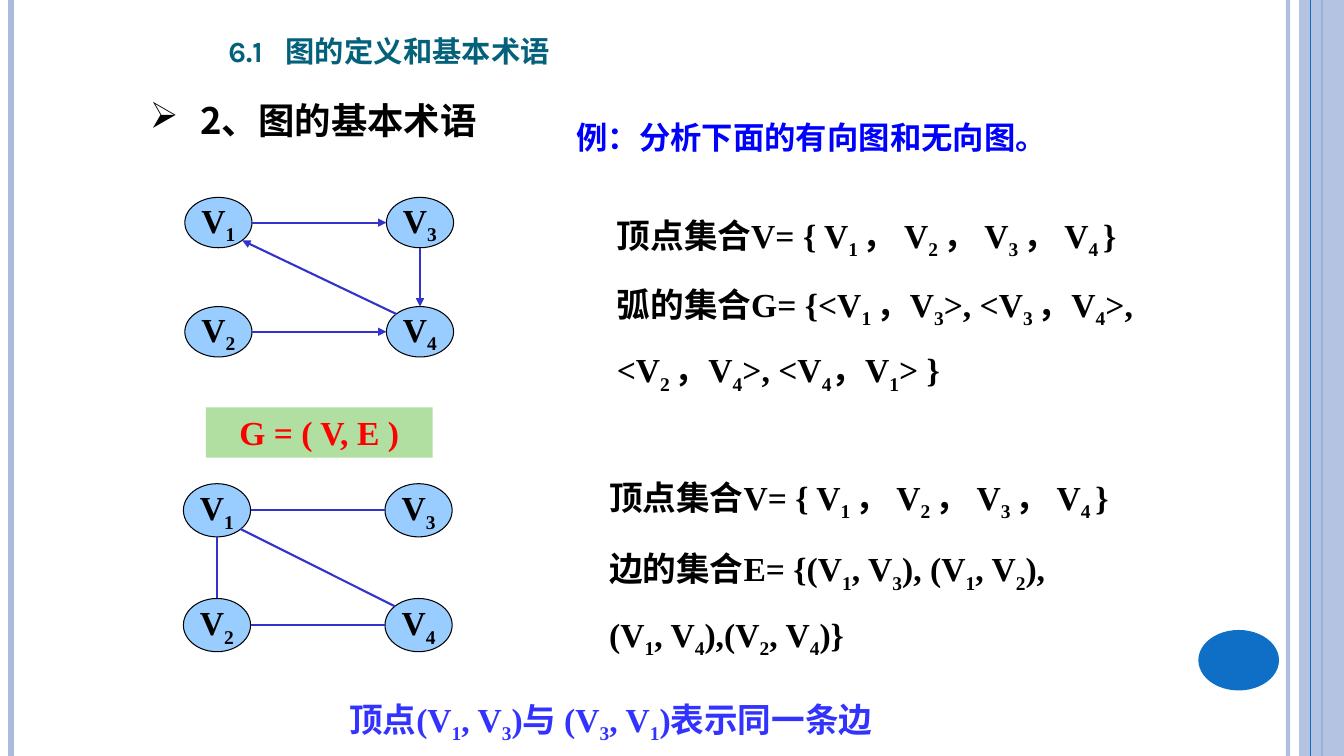
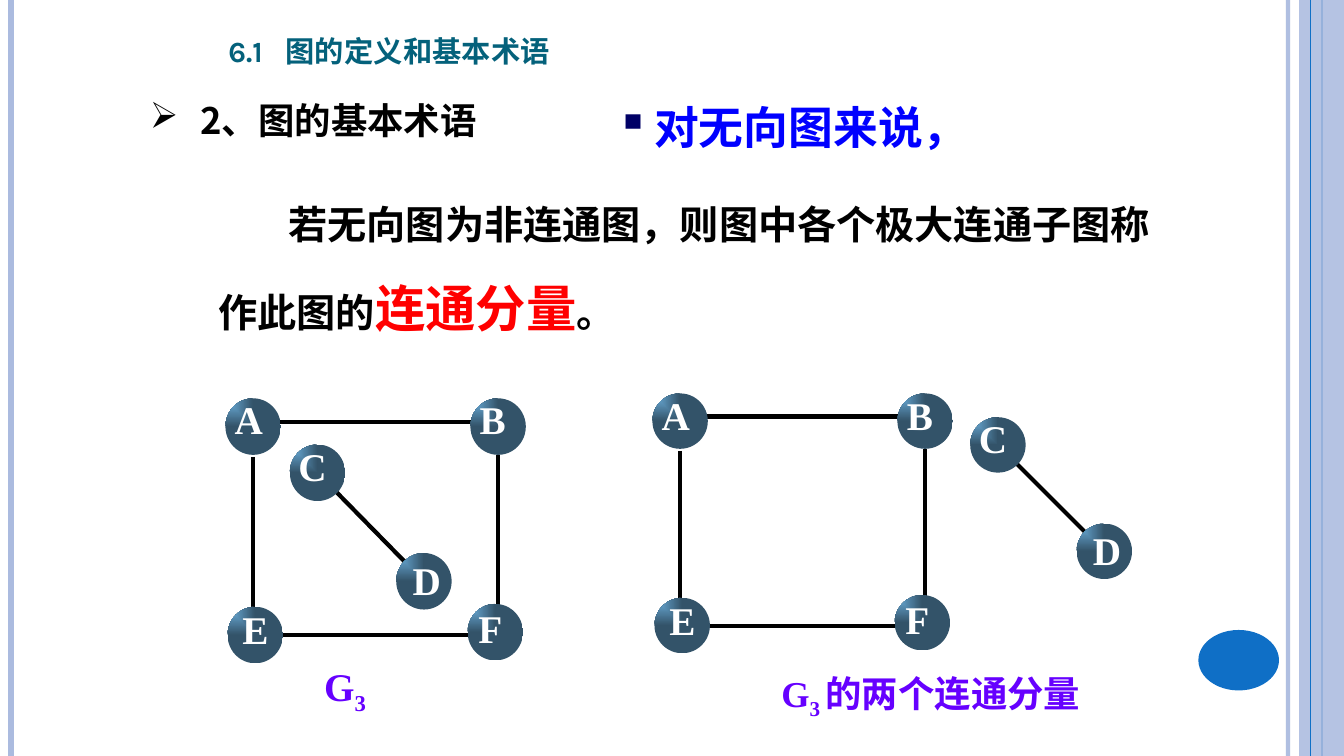
from lxml.etree import SubElement
from math import sqrt
from pptx import Presentation
from pptx.dml.color import RGBColor
from pptx.enum.shapes import MSO_CONNECTOR as Connector, MSO_SHAPE as Preset
from pptx.enum.text import MSO_ANCHOR as Anchor, MSO_AUTO_SIZE as AutoSize, PP_ALIGN as Align
from pptx.oxml.ns import qn
from pptx.util import Pt

BLACK = RGBColor(0x00, 0x00, 0x00)
WHITE = RGBColor(0xFF, 0xFF, 0xFF)
RED = RGBColor(0xFF, 0x00, 0x00)
BLUE = RGBColor(0x00, 0x00, 0xFF)
NAVY = RGBColor(0x00, 0x00, 0x66)
TEAL = RGBColor(0x04, 0x61, 0x7B)
NOTE_BLUE = RGBColor(0x33, 0x33, 0xFF)
EDGE_BLUE = RGBColor(0x33, 0x33, 0xCC)
VERTEX_BLUE = RGBColor(0x99, 0xCC, 0xFF)
GREEN = RGBColor(0xB0, 0xDF, 0xA1)
PURPLE = RGBColor(0x66, 0x00, 0xFF)
BALL_LIGHT = RGBColor(0x6F, 0xB4, 0xE3)
BALL_DARK = RGBColor(0x33, 0x53, 0x69)
FRAME_PALE = RGBColor(0xAB, 0xBB, 0xDF)
FRAME_BLUE = RGBColor(0x0F, 0x6F, 0xC6)

SERIF = "Times New Roman"
SANS = "Noto Sans CJK SC"
HEADING = "Karla"
WIDTH, HEIGHT = 960, 540

VERTEX_WIDTH, VERTEX_SPAN = 48, 144
BALL = 39.6
# letter, ball x, ball y, label shift x, label shift y
SQUARE_BALLS = [("A", 0, 0, 6, -4), ("B", 175, 0, 6, -4),
                ("E", 1.5, 146, 10, -3), ("F", 173, 144, 7, -2)]
SQUARE_EDGES = [(37.5, 16.5, 178, 16.5), (19.5, 41, 19.5, 155),
                (194.5, 39.5, 194.5, 152.5), (37, 166, 178.5, 166)]
PAIR_BALLS = [("C", 0, 0, 5.5, -4), ("D", 76, 76, 11, 0)]
PAIR_EDGES = [(29, 29, 103, 103)]


def style(span, size, color, font=SERIF, small_caps=False):
    span.font.size = Pt(size)
    span.font.bold = True
    span.font.color.rgb = color
    span.font.name = font
    properties = span.font._element
    properties.set("lang", "zh-CN")
    if font == SANS:
        SubElement(properties, qn("a:ea")).set("typeface", font)
    if small_caps:
        properties.set("cap", "small")


def write(frame, lines, size, color, font=SERIF, align=Align.LEFT, gap=0, small_caps=False):
    """Fill a text frame; the character after each underscore becomes a subscript."""
    for index, line in enumerate(lines):
        para = frame.add_paragraph() if index else frame.paragraphs[0]
        para.alignment = align
        if index:
            para.space_before = Pt(gap)
        start, *pieces = line.split("_")
        parts = [(start, False)]
        for piece in pieces:
            cut = 2 if piece[1:2] == " " else 1
            parts += [(piece[:cut], True), (piece[cut:], False)]
        for words, lowered in parts:
            if words:
                span = para.add_run()
                span.text = words
                style(span, size, color, font, small_caps)
                if lowered:
                    span.font._element.set("baseline", "-25000")


def add_text(page, left, top, width, height, lines, size, color, **options):
    box = page.shapes.add_textbox(Pt(left), Pt(top), Pt(width), Pt(height))
    box.text_frame.word_wrap = True
    write(box.text_frame, lines, size, color, **options)
    return box


def indent(para, margin, first_line, bullet=None, bullet_color=None):
    properties = para._p.get_or_add_pPr()
    properties.set("marL", str(Pt(margin)))
    properties.set("indent", str(Pt(first_line)))
    if bullet_color is not None:
        holder = SubElement(properties, qn("a:buClr"))
        SubElement(holder, qn("a:srgbClr")).set("val", str(bullet_color))
    if bullet:
        SubElement(properties, qn("a:buChar")).set("char", bullet)


def set_title(page, left, top, width, height, words, size, anchor, small_caps=False):
    title = page.shapes.title
    title.left, title.top, title.width, title.height = map(Pt, (left, top, width, height))
    frame = title.text_frame
    frame.word_wrap = True
    frame.auto_size = AutoSize.NONE
    frame.vertical_anchor = anchor
    write(frame, [words], size, BLUE, font=SANS, small_caps=small_caps)
    return title


def set_alpha(fill_parent, percent):
    color = next(fill_parent.iter(qn("a:srgbClr")))
    SubElement(color, qn("a:alpha")).set("val", str(percent * 1000))


def add_line(page, x1, y1, x2, y2, color, weight, arrow=False):
    line = page.shapes.add_connector(Connector.STRAIGHT, Pt(x1), Pt(y1), Pt(x2), Pt(y2))
    line.line.color.rgb = color
    line.line.width = Pt(weight)
    if arrow:
        SubElement(line.line._get_or_add_ln(), qn("a:tailEnd")).set("type", "triangle")
    SubElement(line._element.spPr, qn("a:effectLst"))
    return line


def add_solid(page, preset, left, top, width, height, color, outline=None):
    shape = page.shapes.add_shape(preset, Pt(left), Pt(top), Pt(width), Pt(height))
    shape.shadow.inherit = False
    shape.fill.solid()
    shape.fill.fore_color.rgb = color
    if outline is None:
        shape.line.fill.background()
    else:
        shape.line.color.rgb = outline
        shape.line.width = Pt(0.75)
    return shape


def add_frame(page):
    """Draw the side bands and the round badge, and hand them to the page's layout."""
    def upright(x, color, weight):
        return add_line(page, x, 0, x, HEIGHT, color, weight)

    inner = upright(920, FRAME_PALE, 3)
    set_alpha(inner._element, 93)
    left_edge = upright(8, FRAME_PALE, 4.5)
    outer = upright(944, FRAME_BLUE, 1.5)
    band = add_solid(page, Preset.RECTANGLE, 928, 0, 32, HEIGHT, FRAME_PALE)
    set_alpha(band._element, 87)
    middle = upright(936, FRAME_BLUE, 0.75)
    badge = add_solid(page, Preset.OVAL, 856, 450, 57.6, 43.2, FRAME_BLUE)
    for number, part in enumerate((inner, left_edge, outer, band, middle, badge), 20):
        next(part._element.iter(qn("p:cNvPr"))).set("id", str(number))
        page.slide_layout.shapes._spTree.append(part._element)


def add_headings(page):
    section = add_text(page, 156, 9.5, 321, 44, ["6.1\t图的定义和基本术语"], 26.2, TEAL,
                       font=HEADING, small_caps=True)
    section.text_frame.vertical_anchor = Anchor.BOTTOM
    tabs = SubElement(section.text_frame.paragraphs[0]._p.get_or_add_pPr(), qn("a:tabLst"))
    stop = SubElement(tabs, qn("a:tab"))
    stop.set("pos", str(Pt(41)))
    stop.set("algn", "l")

    topic = add_text(page, 100, 60.5, 300, 44.5, ["2、图的基本术语"], 26, BLACK, font=SANS)
    para = topic.text_frame.paragraphs[0]
    indent(para, 36, -36, "➢")
    para.line_spacing = 1.2


def add_vertex_graph(page, left, top, drop, height, edges, arrow=False):
    """Draw V1 to V4 on a two by two grid, with edges meeting the ellipses."""
    places = {1: (0, 0), 2: (0, 1), 3: (1, 0), 4: (1, 1)}
    for number, (column, row) in places.items():
        vertex = add_solid(page, Preset.OVAL, left + column * VERTEX_SPAN, top + row * drop,
                           VERTEX_WIDTH, height, VERTEX_BLUE, BLACK)
        vertex.text_frame.word_wrap = False
        vertex.text_frame.vertical_anchor = Anchor.MIDDLE
        write(vertex.text_frame, [f"V_{number}"], 24, BLACK, align=Align.CENTER)

    def rim(number, across, down):
        column, row = places[number]
        reach = sqrt(0.5) if across and down else 1
        return (left + column * VERTEX_SPAN + VERTEX_WIDTH / 2 * (1 + across * reach),
                top + row * drop + height / 2 * (1 + down * reach))

    for start, end in edges:
        across, down = (b - a for a, b in zip(places[start], places[end]))
        add_line(page, *rim(start, across, down), *rim(end, -across, -down),
                 EDGE_BLUE, 1.5, arrow)


def add_ball(page, left, top, height):
    ball = add_solid(page, Preset.OVAL, left, top, BALL, height, BALL_DARK)
    ball.fill.gradient()
    for stop, color, position in zip(ball.fill.gradient_stops, (BALL_LIGHT, BALL_DARK), (0, 1)):
        stop.color.rgb = color
        stop.position = position
    gradient = next(ball._element.iter(qn("a:gradFill")))
    gradient.remove(gradient.find(qn("a:lin")))
    shade = SubElement(gradient, qn("a:path"))
    shade.set("path", "rect")
    target = SubElement(shade, qn("a:fillToRect"))
    target.set("r", "100000")
    target.set("b", "100000")


def add_component(page, left, top, balls, edges, stretch=1):
    """Draw one connected component, stretched downwards by a factor."""
    for x1, y1, x2, y2 in edges:
        add_line(page, left + x1, top + y1 * stretch, left + x2, top + y2 * stretch, BLACK, 3)
    for letter, x, y, shift_x, shift_y in balls:
        ball_left, ball_top = left + x, top + y * stretch
        add_ball(page, ball_left, ball_top, BALL * stretch)
        label = add_text(page, ball_left + shift_x, ball_top + shift_y, 36.5, 47,
                         [letter], 28, WHITE)
        frame = label.text_frame
        frame.margin_left, frame.margin_top = Pt(0.7), Pt(2.2)
        frame.margin_right, frame.margin_bottom = Pt(0), Pt(0.7)


def build_example(page):
    add_headings(page)
    set_title(page, 404.5, 60.5, 443, 55.5, "例：分析下面的有向图和无向图。", 28,
              Anchor.BOTTOM, small_caps=True)
    add_vertex_graph(page, 132, 141, 78, 36, [(1, 3), (4, 1), (2, 4), (3, 4)], arrow=True)
    add_vertex_graph(page, 131, 345.5, 82, 38, [(1, 2), (1, 3), (2, 4), (1, 4)])

    vertices = ["顶点集合V= { V_1 ， V_2 ， V_3 ， V_4 }"]
    arcs = ["弧的集合G= {<V_1 ，V_3>, <V_3 ，V_4>,", "<V_2 ，V_4>, <V_4，V_1> }"]
    edges = ["边的集合E= {(V_1, V_3), (V_1, V_2),", "(V_1, V_4),(V_2, V_4)}"]
    for left, top, height, lines in ((433.5, 150, 36, vertices), (433.5, 199, 80, arcs),
                                     (428, 337, 36, vertices), (428, 388, 80, edges)):
        add_text(page, left, top, 450, height, lines, 24, BLACK, gap=14)

    formula = add_solid(page, Preset.RECTANGLE, 147, 291, 162, 36, GREEN)
    formula.text_frame.vertical_anchor = Anchor.TOP
    write(formula.text_frame, ["G = ( V, E )"], 24, RED, align=Align.CENTER)
    add_text(page, 155.5, 495.5, 561.5, 36, ["顶点(V_1, V_3)与 (V_3, V_1)表示同一条边"],
             24, NOTE_BLUE, align=Align.CENTER)


def build_components(page):
    add_headings(page)
    title = set_title(page, 433, 67.5, 343.5, 56, "对无向图来说，", 32, Anchor.TOP)
    indent(title.text_frame.paragraphs[0], 27, -27, "▪", NAVY)

    definition = add_text(page, 149, 122.5, 693.5, 124,
                          ["若无向图为非连通图，则图中各个极大连通子图称作此图的"], 28, BLACK)
    para = definition.text_frame.paragraphs[0]
    indent(para, 0, 50)
    para.line_spacing = 1.5
    for words, size, color in (("连通分量", 36, RED), ("。", 28, BLACK)):
        span = para.add_run()
        span.text = words
        style(span, size, color)

    add_component(page, 161, 284.5, SQUARE_BALLS, SQUARE_EDGES, stretch=1.02)
    add_component(page, 207, 317.5, PAIR_BALLS, PAIR_EDGES, stretch=1.02)
    add_component(page, 466, 281, SQUARE_BALLS, SQUARE_EDGES)
    add_component(page, 693, 298, PAIR_BALLS, PAIR_EDGES)
    add_text(page, 218, 469.5, 57, 41, ["G_3"], 28, PURPLE, align=Align.CENTER)
    add_text(page, 500.5, 476, 329, 39, ["G_3 的两个连通分量"], 26, PURPLE, align=Align.CENTER)


def main():
    deck = Presentation()
    deck.slide_width, deck.slide_height = Pt(WIDTH), Pt(HEIGHT)
    layout = deck.slide_layouts[5]
    pages = [deck.slides.add_slide(layout) for _ in range(2)]
    add_frame(pages[0])
    build_example(pages[0])
    build_components(pages[1])
    deck.save("out.pptx")


if __name__ == "__main__":
    main()
